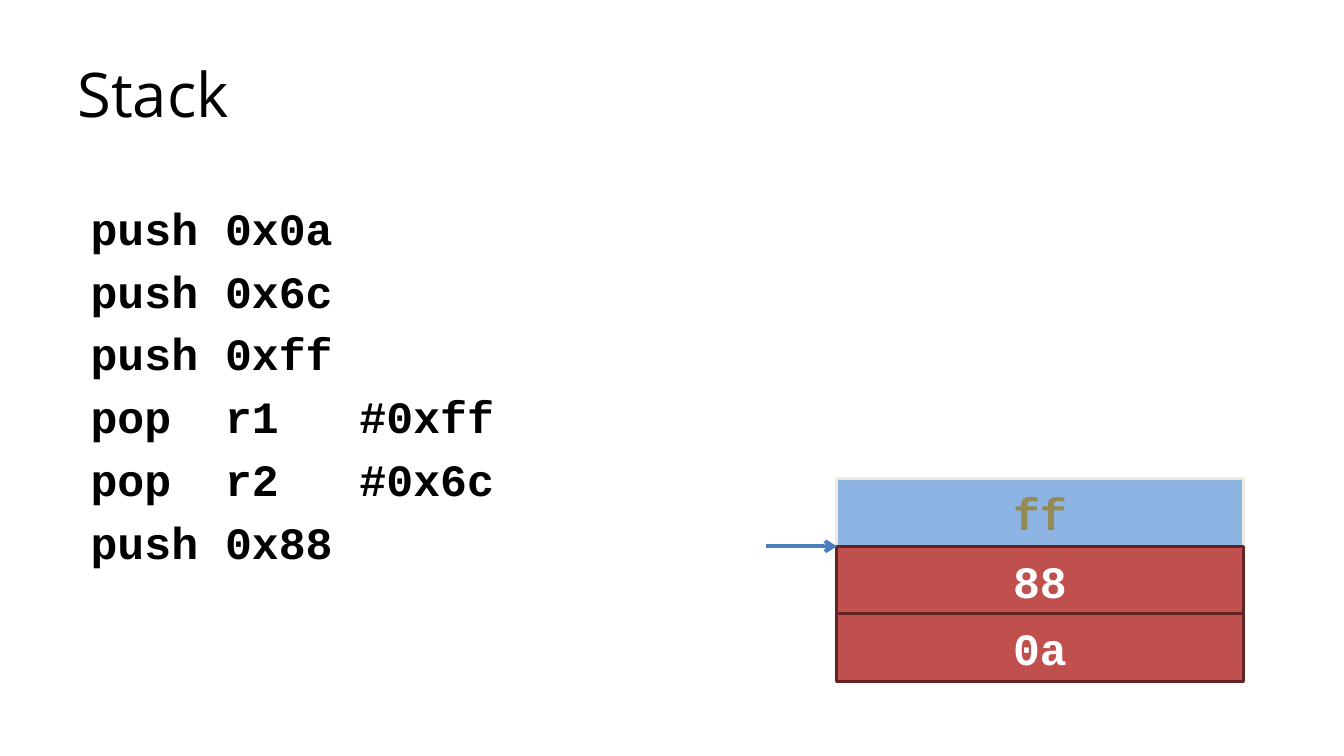
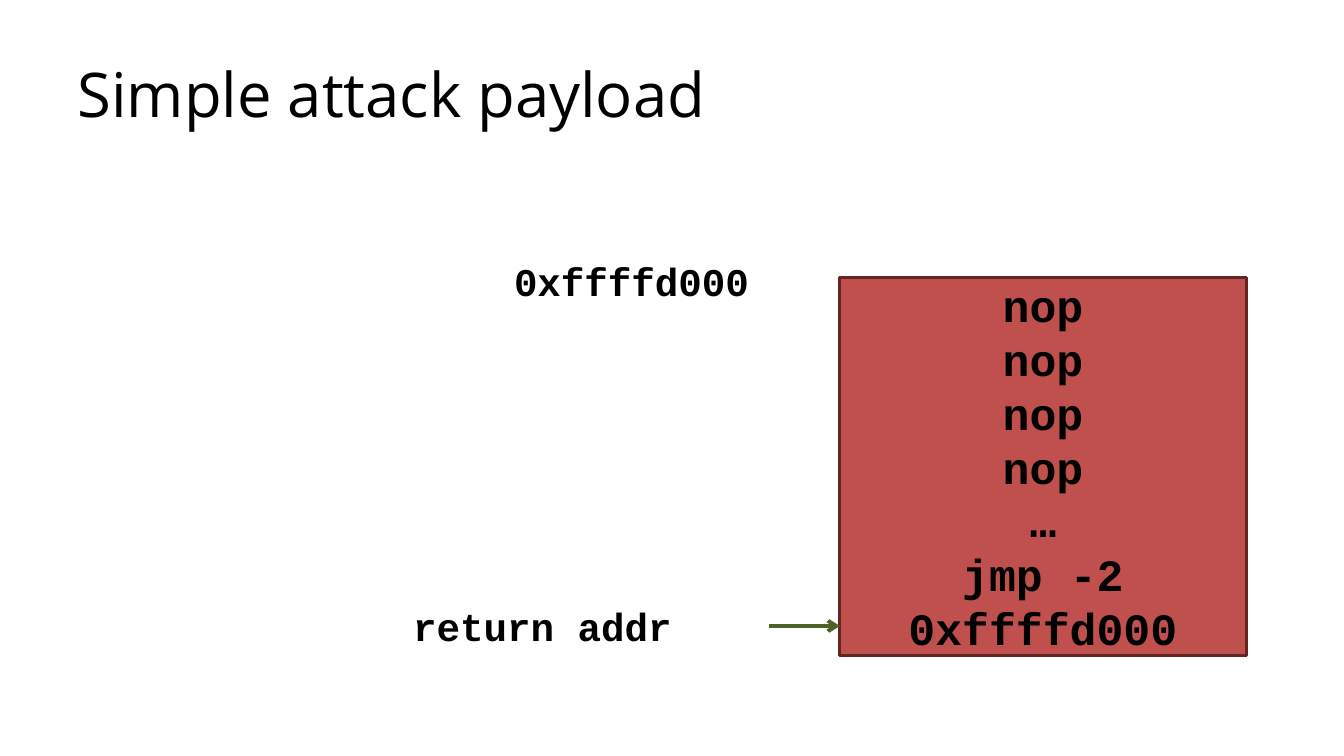
from dataclasses import dataclass

from lxml.etree import SubElement
from pptx import Presentation
from pptx.dml.color import RGBColor
from pptx.enum.shapes import MSO_CONNECTOR, MSO_SHAPE
from pptx.enum.text import MSO_ANCHOR, PP_ALIGN
from pptx.oxml.ns import qn
from pptx.slide import Slide
from pptx.text.text import TextFrame
from pptx.util import Inches, Pt

BLACK = "000000"
WHITE = "FFFFFF"
RED = "C0504D"
DARK_RED = "632523"
TITLE_FONT = "Open Sans"
CODE_FONT = "Courier New"
CELL_WIDTH = 4.03
CELL_HEIGHT = 0.67
POINTER_LENGTH = 0.7


@dataclass(frozen=True)
class Box:
    left: float
    top: float
    width: float
    height: float

    def lengths(self) -> tuple[Inches, Inches, Inches, Inches]:
        return Inches(self.left), Inches(self.top), Inches(self.width), Inches(self.height)


@dataclass(frozen=True)
class Cell:
    text: str
    fill: str = RED
    line: str = DARK_RED
    color: str = WHITE


@dataclass(frozen=True)
class Label:
    text: str
    box: Box


STACK_CELLS = (
    Cell("ff", fill="8EB4E3", line="EEECE1", color="948A54"),
    Cell("88"),
    Cell("0a"),
)
STACK_CODE = """push 0x0a
push 0x6c
push 0xff
pop  r1   #0xff
pop  r2   #0x6c
push 0x88"""
PAYLOAD = Cell("nop\nnop\nnop\nnop\n…\njmp -2\n0xffffd000", color=BLACK)
PAYLOAD_LABELS = (
    Label("0xffffd000", Box(5, 2.5, 2.56, 0.57)),
    Label("return addr", Box(4, 5.93, 2.79, 0.57)),
)


def rgb(value: str) -> RGBColor:
    return RGBColor.from_string(value)


def write(frame: TextFrame, text: str, *, size: float = 32, font: str = CODE_FONT,
          color: str = BLACK, bold: bool = True, align: PP_ALIGN = PP_ALIGN.LEFT,
          anchor: MSO_ANCHOR = MSO_ANCHOR.TOP, gap: float = 0, wrap: bool = True) -> None:
    frame.word_wrap = wrap
    frame.vertical_anchor = anchor
    for index, line in enumerate(text.splitlines()):
        paragraph = frame.add_paragraph() if index else frame.paragraphs[0]
        paragraph.alignment = align
        paragraph.space_before = Pt(gap if index else 0)
        run = paragraph.add_run()
        run.text = line
        run.font.size = Pt(size)
        run.font.name = font
        run.font.bold = bold
        run.font.color.rgb = rgb(color)


def add_text(slide: Slide, box: Box, text: str, **style) -> None:
    write(slide.shapes.add_textbox(*box.lengths()).text_frame, text, **style)


def add_cell(slide: Slide, box: Box, cell: Cell) -> None:
    shape = slide.shapes.add_shape(MSO_SHAPE.RECTANGLE, *box.lengths())
    shape.shadow.inherit = False
    shape.fill.solid()
    shape.fill.fore_color.rgb = rgb(cell.fill)
    shape.line.color.rgb = rgb(cell.line)
    shape.line.width = Pt(2)
    write(shape.text_frame, cell.text, color=cell.color,
          align=PP_ALIGN.CENTER, anchor=MSO_ANCHOR.MIDDLE)


def add_pointer(slide: Slide, tip_x: float, y: float, color: str) -> None:
    pointer = slide.shapes.add_connector(
        MSO_CONNECTOR.STRAIGHT, Inches(tip_x - POINTER_LENGTH), Inches(y),
        Inches(tip_x), Inches(y))
    pointer.line.color.rgb = rgb(color)
    pointer.line.width = Pt(2.75)
    SubElement(pointer.line._get_or_add_ln(), qn("a:tailEnd"), type="arrow")
    SubElement(pointer._element.spPr, qn("a:effectLst"))


def add_titled_slide(deck: Presentation, title: str) -> Slide:
    slide = deck.slides.add_slide(deck.slide_layouts[6])
    add_text(slide, Box(0.67, 0.3, 12, 1.25), title, size=44, font=TITLE_FONT,
             bold=False, anchor=MSO_ANCHOR.MIDDLE)
    return slide


def build_stack(deck: Presentation) -> None:
    slide = add_titled_slide(deck, "Stack")
    add_text(slide, Box(0.8, 1.94, 5.98, 5.06), STACK_CODE, gap=6.4)
    left, top = 8.3, 4.75
    for row, cell in enumerate(STACK_CELLS):
        add_cell(slide, Box(left, top + row * CELL_HEIGHT, CELL_WIDTH, CELL_HEIGHT), cell)
    add_pointer(slide, left, top + CELL_HEIGHT, "4B7EBC")


def build_payload(deck: Presentation) -> None:
    slide = add_titled_slide(deck, "Simple attack payload")
    payload_box = Box(8.33, 2.75, CELL_WIDTH, 3.75)
    add_cell(slide, payload_box, PAYLOAD)
    for label in PAYLOAD_LABELS:
        add_text(slide, label.box, label.text, size=28, wrap=False)
    add_pointer(slide, payload_box.left, 6.21, "4F6228")


def main() -> None:
    deck = Presentation()
    deck.slide_width = Inches(13.33)
    deck.slide_height = Inches(7.5)
    build_stack(deck)
    build_payload(deck)
    deck.save("out.pptx")


if __name__ == "__main__":
    main()
